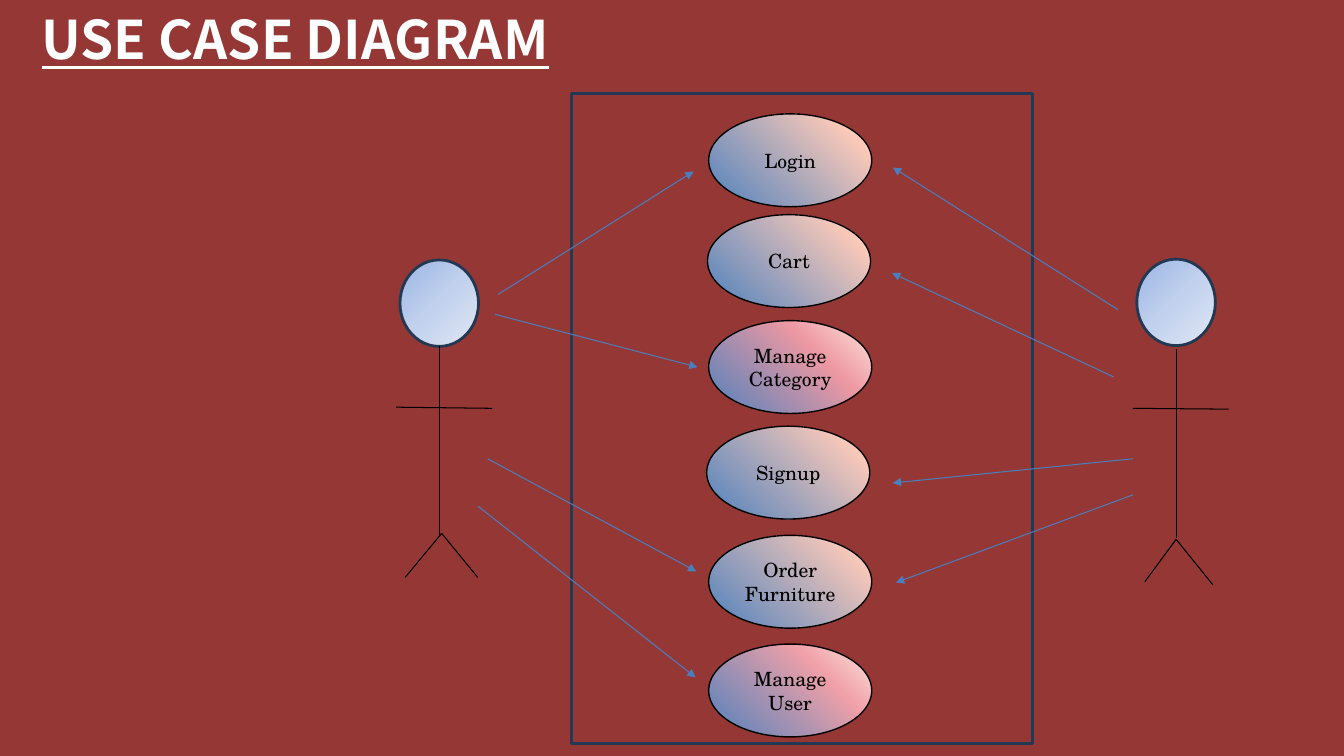
from dataclasses import dataclass

from lxml.etree import SubElement
from pptx import Presentation
from pptx.dml.color import RGBColor
from pptx.enum.shapes import MSO_CONNECTOR, MSO_SHAPE
from pptx.enum.text import MSO_ANCHOR, PP_ALIGN
from pptx.oxml.ns import qn
from pptx.util import Cm, Pt


@dataclass(frozen=True)
class Theme:
    """Colours, fonts and sizes of the diagram."""
    background: str = "953735"
    title: str = "FFFFFF"
    ink: str = "000000"
    outline: str = "233953"
    arrow: str = "4B7EBC"
    head: tuple = ((0, "9AB5E4"), (50, "C2D1ED"), (100, "E1E8F5"))
    case_start: str = "4F81BD"
    case_end: str = "FFE5DD"
    peach: str = "FFCBB8"
    rose: str = "ED98A2"
    light_rose: str = "EFA0A8"
    title_font: str = "Noto Sans CJK SC"
    case_font: str = "TeX Gyre Schola"
    title_size: float = 38
    case_size: float = 14
    thick: float = 2
    medium: float = 1
    thin: float = 0.75


class UseCaseDiagram:
    """Draws use case elements on one slide."""

    def __init__(self, slide, theme):
        self.slide = slide
        self.theme = theme
        slide.background.fill.solid()
        slide.background.fill.fore_color.rgb = RGBColor.from_string(theme.background)

    def style_text(self, frame, text, font, size, color):
        """Set centred text and return its font."""
        frame.text = text
        paragraph = frame.paragraphs[0]
        paragraph.alignment = PP_ALIGN.CENTER
        letters = paragraph.runs[0].font
        letters.name, letters.size = font, Pt(size)
        letters.color.rgb = RGBColor.from_string(color)
        return letters

    def title(self, text, box):
        """Add the underlined heading."""
        frame = self.slide.shapes.add_textbox(*map(Cm, box)).text_frame
        frame.word_wrap = False
        letters = self.style_text(frame, text, self.theme.title_font,
                                  self.theme.title_size, self.theme.title)
        letters.bold = letters.underline = True

    def outlined(self, kind, box, color, width):
        """Add a shape with a plain outline."""
        shape = self.slide.shapes.add_shape(kind, *map(Cm, box))
        shape.shadow.inherit = False
        shape.line.color.rgb = RGBColor.from_string(color)
        shape.line.width = Pt(width)
        return shape

    def gradient(self, shape, stops, angle):
        """Fill a shape with the given colour stops."""
        shape.fill.gradient()
        shape.fill.gradient_angle = angle
        stop_list = shape._element.spPr.find(qn("a:gradFill")).find(qn("a:gsLst"))
        for old_stop in list(stop_list):
            stop_list.remove(old_stop)
        for percent, color in stops:
            stop = SubElement(stop_list, qn("a:gs"), pos=str(percent * 1000))
            SubElement(stop, qn("a:srgbClr"), val=color)

    def system_frame(self, box):
        """Add the unfilled system boundary."""
        boundary = self.outlined(MSO_SHAPE.RECTANGLE, box, self.theme.outline, self.theme.thick)
        boundary.fill.background()

    def use_case(self, text, left, top, middle_percent, middle_color):
        """Add one labelled ellipse."""
        theme = self.theme
        ellipse = self.outlined(MSO_SHAPE.OVAL, (left, top, 4.11, 2.34), theme.ink, theme.medium)
        stops = ((0, theme.case_start), (middle_percent, middle_color), (100, theme.case_end))
        self.gradient(ellipse, stops, 45)
        ellipse.text_frame.word_wrap = True
        ellipse.text_frame.vertical_anchor = MSO_ANCHOR.MIDDLE
        self.style_text(ellipse.text_frame, text, theme.case_font, theme.case_size, theme.ink)

    def line(self, start, end, color):
        """Add a thin straight line."""
        stroke = self.slide.shapes.add_connector(
            MSO_CONNECTOR.STRAIGHT, *map(Cm, (*start, *end)))
        stroke.line.color.rgb = RGBColor.from_string(color)
        stroke.line.width = Pt(self.theme.thin)
        SubElement(stroke._element.spPr, qn("a:effectLst"))
        return stroke

    def arrow(self, start, end):
        """Add a line ending in a triangle."""
        link = self.line(start, end, self.theme.arrow)
        SubElement(link.line._get_or_add_ln(), qn("a:tailEnd"), type="triangle")

    def actor(self, head, limbs):
        """Add a stick figure."""
        face = self.outlined(MSO_SHAPE.FLOWCHART_CONNECTOR, (*head, 1.98, 2.18),
                             self.theme.outline, self.theme.thick)
        self.gradient(face, self.theme.head, 315)
        for start, end in limbs:
            self.line(start, end, self.theme.ink)


def main():
    """Build the slide and save it."""
    theme = Theme()
    deck = Presentation()
    deck.slide_width, deck.slide_height = Cm(33.87), Cm(19.05)
    diagram = UseCaseDiagram(deck.slides.add_slide(deck.slide_layouts[6]), theme)

    diagram.title("USE CASE DIAGRAM", (-0.28, 0.03, 15.44, 2.51))

    left_hip, right_hip = (11.13, 13.44), (29.64, 13.59)
    actors = (
        ((10.08, 6.55), (((11.07, 8.71), (11.07, 13.49)),
                         ((9.98, 10.26), (12.4, 10.29)),
                         (left_hip, (10.21, 14.55)),
                         (left_hip, (12.04, 14.55)))),
        ((28.65, 6.53), (((29.64, 8.79), (29.64, 13.56)),
                         ((28.55, 10.29), (30.96, 10.31)),
                         (right_hip, (28.85, 14.66)),
                         (right_hip, (30.56, 14.73)))),
    )
    for head, limbs in actors:
        diagram.actor(head, limbs)

    use_cases = (
        ("Login", 17.86, 2.87, 86, theme.peach),
        ("Cart", 17.83, 5.41, 87, theme.peach),
        ("Manage Category", 17.86, 8.08, 66, theme.rose),
        ("Signup", 17.81, 10.74, 88, theme.peach),
        ("Order Furniture", 17.86, 13.49, 89, theme.peach),
        ("Manage User", 17.86, 16.23, 69, theme.light_rose),
    )
    for use_case in use_cases:
        diagram.use_case(*use_case)

    diagram.system_frame((14.4, 2.36, 11.63, 16.38))

    associations = (
        ((12.55, 7.42), (17.48, 4.32)),
        ((12.47, 7.92), (17.58, 9.25)),
        ((12.04, 12.75), (17.53, 17.07)),
        ((12.29, 11.56), (17.55, 14.4)),
        ((28.17, 7.8), (22.5, 4.22)),
        ((28.07, 9.5), (22.48, 6.88)),
        ((28.55, 11.56), (22.5, 12.17)),
        ((28.55, 12.47), (22.58, 14.68)),
    )
    for start, end in associations:
        diagram.arrow(start, end)

    deck.save("out.pptx")


if __name__ == "__main__":
    main()
